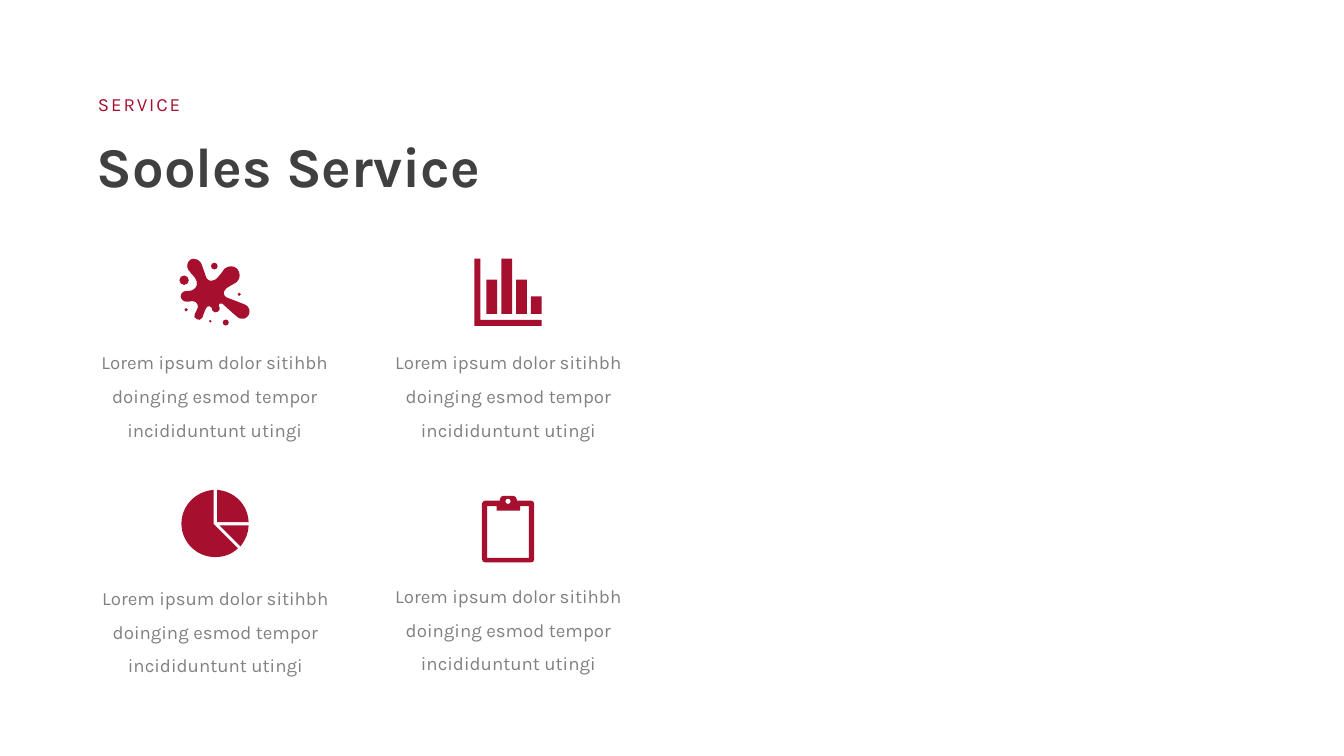
from dataclasses import dataclass

from lxml import etree
from pptx import Presentation
from pptx import util as u
from pptx.dml.color import RGBColor
from pptx.enum import text
from pptx.oxml.ns import qn


@dataclass(frozen=True)
class Theme:
    font: str = "Karla"
    accent: RGBColor = RGBColor(0xA7, 0x0F, 0x2E)
    heading: RGBColor = RGBColor(0x40, 0x40, 0x40)
    body: RGBColor = RGBColor(0x80, 0x80, 0x80)
    title_size: int = 60
    text_size: int = 20


def circle(x, y, radius):
    k = 0.55 * radius
    left, top, right, bottom = x - radius, y - radius, x + radius, y + radius
    return [(x, top), (x + k, top, right, y - k, right, y),
            (right, y + k, x + k, bottom, x, bottom),
            (x - k, bottom, left, y + k, left, y), (left, y - k, x - k, top, x, top)]


def bar(left, top, right, bottom):
    return [(left, top), (right, top), (right, bottom), (left, bottom)]


class ServiceSlide:
    def __init__(self, page, theme):
        self.page = page
        self.theme = theme

    def text(self, words, left, top, width, height, color, size=None, bold=False,
             align=text.PP_ALIGN.LEFT, line_spacing=None, tracking=None):
        box = self.page.shapes.add_textbox(*map(u.Inches, (left, top, width, height)))
        frame = box.text_frame
        frame.word_wrap = True
        frame.auto_size = text.MSO_AUTO_SIZE.SHAPE_TO_FIT_TEXT
        para = frame.paragraphs[0]
        span = para.add_run()
        span.text = words
        para.alignment = align
        para.line_spacing = line_spacing
        para.font.name = self.theme.font
        para.font.size = u.Pt(size or self.theme.text_size)
        para.font.bold = bold
        para.font.color.rgb = color
        if tracking:
            span.font._element.set("spc", str(tracking * 100))

    def caption(self, words, left, top):
        self.text(words, left, top, 3.69, 1.57, self.theme.body,
                  align=text.PP_ALIGN.CENTER, line_spacing=1.5)

    def icon(self, contours):
        builder = None
        for contour in contours:
            anchors = [tuple(map(u.Inches, segment[-2:])) for segment in contour]
            if builder is None:
                builder = self.page.shapes.build_freeform(*anchors[0])
            else:
                builder.move_to(*anchors[0])
            builder.add_line_segments(anchors[1:], close=True)
        shape = builder.convert_to_shape()
        self.bend(shape, [segment for contour in contours for segment in contour[1:]])
        shape.shadow.inherit = False
        shape.fill.solid()
        shape.fill.fore_color.rgb = self.theme.accent
        shape.line.fill.background()

    def bend(self, shape, segments):
        lines = list(shape._element.iter(qn("a:lnTo")))
        for line, segment in zip(lines, segments):
            if len(segment) == 2:
                continue
            line.tag = qn("a:cubicBezTo")
            for i in (0, 2):
                control = etree.Element(qn("a:pt"))
                control.set("x", str(u.Inches(segment[i]) - shape.left))
                control.set("y", str(u.Inches(segment[i + 1]) - shape.top))
                line.insert(i // 2, control)


def bar_chart_icon():
    tops = [4.16, 3.85, 4.16, 4.41]
    bars = [bar(7.24 + 0.22 * i, top, 7.4 + 0.22 * i, 4.67) for i, top in enumerate(tops)]
    axes = [(7.06, 3.85), (7.15, 3.85), (7.15, 4.76), (8.06, 4.76), (8.06, 4.85), (7.06, 4.85)]
    return bars + [axes]


def splash_icon():
    drops = [(3.36, 4.8, 0.045), (3.13, 4.78, 0.02), (2.77, 4.61, 0.025),
             (3.56, 4.38, 0.025), (2.74, 4.17, 0.07), (3.19, 3.96, 0.05)]
    blot = [
        (2.88, 3.85),
        (2.92, 3.85, 2.97, 3.87, 2.99, 3.91), (3, 3.93, 3.04, 4.04, 3.07, 4.13),
        (3.08, 4.16, 3.11, 4.18, 3.14, 4.18), (3.19, 4.18, 3.21, 4.17, 3.29, 4.07),
        (3.31, 4.04, 3.33, 4.02, 3.34, 4), (3.4, 3.95, 3.48, 3.95, 3.53, 4),
        (3.58, 4.06, 3.58, 4.14, 3.53, 4.19), (3.5, 4.22, 3.44, 4.24, 3.37, 4.29),
        (3.35, 4.32, 3.32, 4.34, 3.33, 4.37), (3.33, 4.4, 3.36, 4.42, 3.38, 4.43),
        (3.49, 4.47, 3.62, 4.52, 3.66, 4.54), (3.71, 4.57, 3.73, 4.63, 3.7, 4.69),
        (3.67, 4.74, 3.61, 4.76, 3.55, 4.73), (3.52, 4.71, 3.4, 4.6, 3.31, 4.52),
        (3.3, 4.51, 3.28, 4.51, 3.27, 4.52), (3.25, 4.53, 3.25, 4.55, 3.26, 4.56),
        (3.26, 4.56, 3.27, 4.57, 3.27, 4.58), (3.28, 4.6, 3.26, 4.63, 3.24, 4.64),
        (3.21, 4.66, 3.18, 4.65, 3.16, 4.62), (3.16, 4.61, 3.16, 4.6, 3.15, 4.58),
        (3.14, 4.56, 3.11, 4.55, 3.09, 4.56), (3.08, 4.56, 3.07, 4.57, 3.07, 4.58),
        (3.03, 4.66, 3.02, 4.71, 3.01, 4.73), (2.99, 4.76, 2.95, 4.77, 2.93, 4.75),
        (2.89, 4.74, 2.88, 4.7, 2.9, 4.67), (2.91, 4.65, 2.92, 4.63, 2.93, 4.61),
        (2.94, 4.58, 2.96, 4.56, 2.94, 4.53), (2.93, 4.5, 2.9, 4.48, 2.86, 4.48),
        (2.82, 4.49, 2.79, 4.49, 2.78, 4.49), (2.73, 4.49, 2.69, 4.45, 2.69, 4.41),
        (2.69, 4.36, 2.73, 4.33, 2.78, 4.33), (2.78, 4.33, 2.79, 4.33, 2.81, 4.33),
        (2.86, 4.33, 2.92, 4.29, 2.93, 4.24), (2.94, 4.2, 2.92, 4.16, 2.9, 4.13),
        (2.86, 4.09, 2.83, 4.05, 2.8, 4.01), (2.77, 3.96, 2.79, 3.89, 2.84, 3.86),
        (2.85, 3.86, 2.87, 3.85, 2.88, 3.85)]
    return [circle(*drop) for drop in drops] + [blot]


def pie_icon():
    small = [(3.27, 7.82), (3.7, 7.82), (3.7, 7.93, 3.65, 8.04, 3.58, 8.13)]
    quarter = [(3.23, 7.29), (3.49, 7.31, 3.69, 7.51, 3.7, 7.77), (3.23, 7.77)]
    large = [(3.18, 7.29), (3.18, 7.8), (3.54, 8.16),
             (3.45, 8.25, 3.33, 8.29, 3.2, 8.29),
             (2.93, 8.29, 2.7, 8.07, 2.7, 7.79), (2.7, 7.53, 2.91, 7.31, 3.18, 7.29)]
    return [small, quarter, large]


def clipboard_icon():
    sheet = [(7.87, 8.3), (7.25, 8.3), (7.25, 7.53), (7.39, 7.53),
             (7.39, 7.6), (7.74, 7.6), (7.74, 7.53), (7.87, 7.53)]
    board = [(7.9, 7.45), (7.69, 7.45), (7.69, 7.43),
             (7.69, 7.4, 7.66, 7.38, 7.64, 7.38), (7.49, 7.38),
             (7.46, 7.38, 7.44, 7.4, 7.44, 7.43), (7.44, 7.45), (7.22, 7.45),
             (7.2, 7.45, 7.17, 7.47, 7.17, 7.5), (7.17, 8.32),
             (7.17, 8.35, 7.2, 8.37, 7.22, 8.37), (7.9, 8.37),
             (7.93, 8.37, 7.95, 8.35, 7.95, 8.32), (7.95, 7.5),
             (7.95, 7.47, 7.93, 7.45, 7.9, 7.45)]
    return [sheet, circle(7.56, 7.46, 0.04), board]


def main():
    deck = Presentation()
    deck.slide_width, deck.slide_height = u.Inches(20), u.Inches(11.25)
    theme = Theme()
    slide = ServiceSlide(deck.slides.add_slide(deck.slide_layouts[6]), theme)

    slide.text("Sooles Service", 1.34, 1.91, 7.12, 1.11, theme.heading,
               size=theme.title_size, bold=True)
    slide.text("SERVICE", 1.36, 1.33, 7.11, 0.44, theme.accent, tracking=2)

    for contours in (bar_chart_icon(), splash_icon(), pie_icon(), clipboard_icon()):
        slide.icon(contours)

    description = "Lorem ipsum dolor sitihbh doinging esmod tempor incididuntunt utingi"
    for left, top in [(1.35, 5.01), (5.72, 5.01), (1.36, 8.52), (5.72, 8.49)]:
        slide.caption(description, left, top)

    deck.save("out.pptx")


if __name__ == "__main__":
    main()
